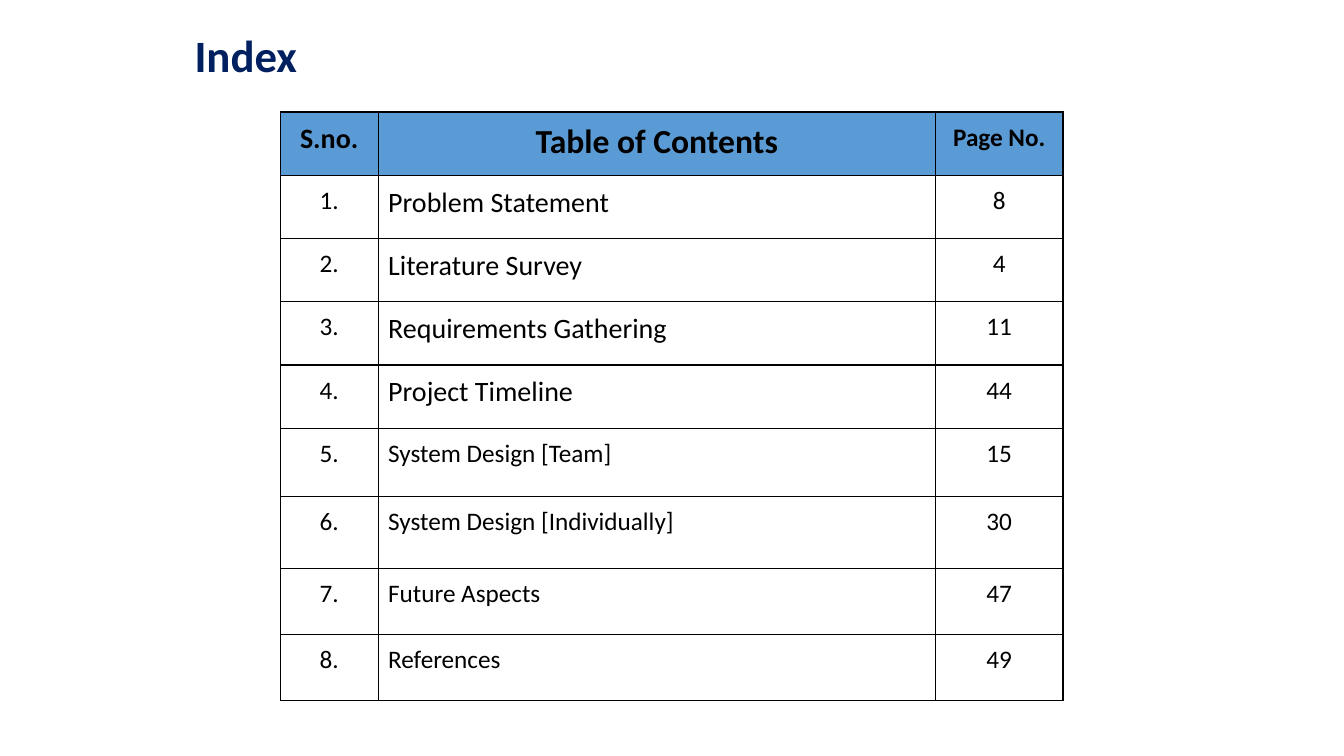
from lxml import etree
from pptx import Presentation
from pptx import util as u
from pptx.dml.color import RGBColor
from pptx.enum import text
from pptx.oxml import ns

NAVY = RGBColor(0x00, 0x20, 0x60)
BLUE = RGBColor(0x5B, 0x9B, 0xD5)
BLACK = RGBColor(0x00, 0x00, 0x00)

# Content: header labels with their sizes, then topic, topic size, page
HEADER = [("S.no.", 20), ("Table of Contents", 24), ("Page No.", 18)]
TOPICS = [
    ("Problem Statement", 20, 8),
    ("Literature Survey", 20, 4),
    ("Requirements Gathering", 20, 11),
    ("Project Timeline", 20, 44),
    ("System Design [Team]", 18, 15),
    ("System Design [Individually]", 18, 30),
    ("Future Aspects", 18, 47),
    ("References", 18, 49),
]
COLUMN_WIDTHS = [69.9, 398.2, 91]
ROW_HEIGHTS = [45.2] * 5 + [49, 51, 47.3, 47.3]


class IndexSlide:
    """Style and current slide, with one method per kind of element."""

    font = "Calibri"
    cell_inset = u.Pt(7.2)
    title_inset = u.Pt(5)

    def __init__(self, deck):
        self.slide = deck.slides.add_slide(deck.slide_layouts[5])

    def add_run(self, paragraph, words, size, color=BLACK, bold=False):
        run = paragraph.add_run()
        run.text = words
        run.font.name = self.font
        run.font.size = u.Pt(size)
        run.font.bold = bold
        run.font.color.rgb = color

    def set_insets(self, target, inset):
        target.margin_left = target.margin_right = inset
        target.margin_top = target.margin_bottom = inset

    def title(self, words, left, top, width, height):
        heading = self.slide.shapes.title
        heading.left, heading.top = u.Pt(left), u.Pt(top)
        heading.width, heading.height = u.Pt(width), u.Pt(height)
        frame = heading.text_frame
        frame.word_wrap = True
        frame.auto_size = text.MSO_AUTO_SIZE.SHAPE_TO_FIT_TEXT
        frame.vertical_anchor = text.MSO_ANCHOR.TOP
        self.set_insets(frame, self.title_inset)
        line = frame.paragraphs[0]
        line.alignment = text.PP_ALIGN.LEFT
        line.line_spacing = 0.9
        self.add_run(line, words, 32, NAVY, bold=True)

    def border(self, cell):
        properties = cell._tc.get_or_add_tcPr()
        for position, side in enumerate(("a:lnL", "a:lnR", "a:lnT", "a:lnB")):
            edge = etree.Element(ns.qn(side), w=str(u.Pt(1)))
            fill = etree.SubElement(edge, ns.qn("a:solidFill"))
            etree.SubElement(fill, ns.qn("a:srgbClr"), val=str(BLACK))
            properties.insert(position, edge)

    def cell(self, cell, words, size, centred, heading):
        self.set_insets(cell, self.cell_inset)
        if heading:
            cell.fill.solid()
            cell.fill.fore_color.rgb = BLUE
        else:
            cell.fill.background()
        self.border(cell)
        line = cell.text_frame.paragraphs[0]
        line.alignment = text.PP_ALIGN.CENTER if centred else text.PP_ALIGN.LEFT
        self.add_run(line, words, size, bold=heading)

    def table(self, rows, left, top):
        contents = self.slide.shapes.add_table(
            len(rows), len(COLUMN_WIDTHS), u.Pt(left), u.Pt(top),
            u.Pt(sum(COLUMN_WIDTHS)), u.Pt(sum(ROW_HEIGHTS))).table
        contents.first_row = contents.horz_banding = False
        for column, width in zip(contents.columns, COLUMN_WIDTHS):
            column.width = u.Pt(width)
        for row, height in zip(contents.rows, ROW_HEIGHTS):
            row.height = u.Pt(height)
        for r, entries in enumerate(rows):
            for c, (words, size) in enumerate(entries):
                heading = r == 0
                self.cell(contents.cell(r, c), words, size,
                          centred=heading or c != 1, heading=heading)


def main():
    deck = Presentation()
    deck.slide_width, deck.slide_height = u.Pt(960), u.Pt(540)
    index = IndexSlide(deck)

    # Heading
    index.title("Index", 134, 19.4, 134, 45)

    # Table of contents
    entries = [[(f"{number}.", 18), (topic, size), (str(page), 18)]
               for number, (topic, size, page) in enumerate(TOPICS, 1)]
    index.table([HEADER] + entries, 200.2, 80)

    deck.save("out.pptx")


if __name__ == "__main__":
    main()
